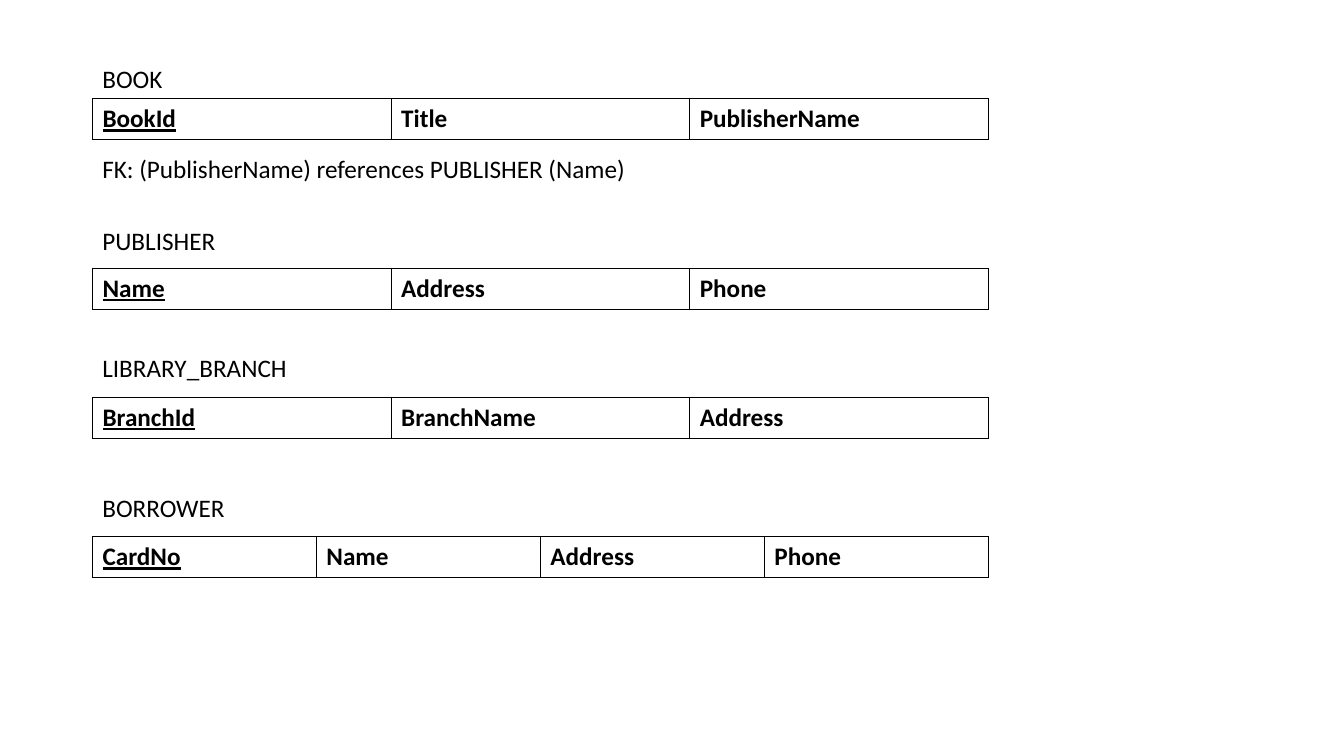
from lxml import etree
from pptx import Presentation
from pptx.dml.color import RGBColor
from pptx.enum.text import MSO_AUTO_SIZE
from pptx.oxml.ns import qn
from pptx.util import Cm, Pt

GROW = MSO_AUTO_SIZE.SHAPE_TO_FIT_TEXT
BLACK = "000000"
LEFT, WIDTH, ROW_H = 2.33, 22.58, 1.03

RELATIONS = [
    dict(name="BOOK", top=1.47, name_w=2.03, gap=1.02,
         fields=["BookId", "Title", "PublisherName"]),
    dict(name="PUBLISHER", top=5.56, name_w=3.38, gap=1.2,
         fields=["Name", "Address", "Phone"]),
    dict(name="LIBRARY_BRANCH", top=8.76, name_w=5.21, gap=1.25,
         fields=["BranchId", "BranchName", "Address"]),
    dict(name="BORROWER", top=12.27, name_w=3.61, gap=1.25,
         fields=["CardNo", "Name", "Address", "Phone"]),
]


def rgb(value):
    """Turn a hex string into a colour."""
    return RGBColor.from_string(value)


def write(tf, text, size=18, color=BLACK, bold=False, underline=False):
    """Put one formatted run into a text frame."""
    r = tf.paragraphs[0].add_run()
    r.text = text
    r.font.name = "Calibri"
    r.font.size = Pt(size)
    r.font.color.rgb = rgb(color)
    r.font.bold = bold
    r.font.underline = underline


def add_label(s, text, left, top, width):
    """Add a single-line text box."""
    tf = s.shapes.add_textbox(Cm(left), Cm(top), Cm(width), Cm(ROW_H)).text_frame
    tf.word_wrap = False
    tf.auto_size = GROW
    write(tf, text)


def add_borders(cell, color=BLACK, width=1):
    """Draw a solid line on all four sides of a cell."""
    tc_pr = cell._tc.get_or_add_tcPr()
    for i, side in enumerate(("a:lnL", "a:lnR", "a:lnT", "a:lnB")):
        ln = etree.Element(qn(side), w=str(Pt(width)))
        fill = etree.SubElement(ln, qn("a:solidFill"))
        etree.SubElement(fill, qn("a:srgbClr"), val=color)
        tc_pr.insert(i, ln)


def add_schema(s, fields, left, top, width):
    """Add a one-row table of fields, with the key field first."""
    table = s.shapes.add_table(1, len(fields), Cm(left), Cm(top),
                               Cm(width), Cm(ROW_H)).table
    table.first_row = table.horz_banding = False
    for i, field in enumerate(fields):
        table.columns[i].width = Cm(width / len(fields))
        cell = table.cell(0, i)
        cell.fill.background()
        add_borders(cell)
        write(cell.text_frame, field, bold=True, underline=i == 0)


def add_relation(s, left, top, width, name, name_w, gap, fields):
    """Add a relation name with its schema below it."""
    add_label(s, name, left, top, name_w)
    add_schema(s, fields, left, top + gap, width)


prs = Presentation()
prs.slide_width, prs.slide_height = Cm(33.87), Cm(19.05)
s = prs.slides.add_slide(prs.slide_layouts[6])
for relation in RELATIONS:
    add_relation(s, LEFT, width=WIDTH, **relation)
add_label(s, "FK: (PublisherName) references PUBLISHER (Name)", LEFT, 3.73, 13.84)
prs.save("out.pptx")
